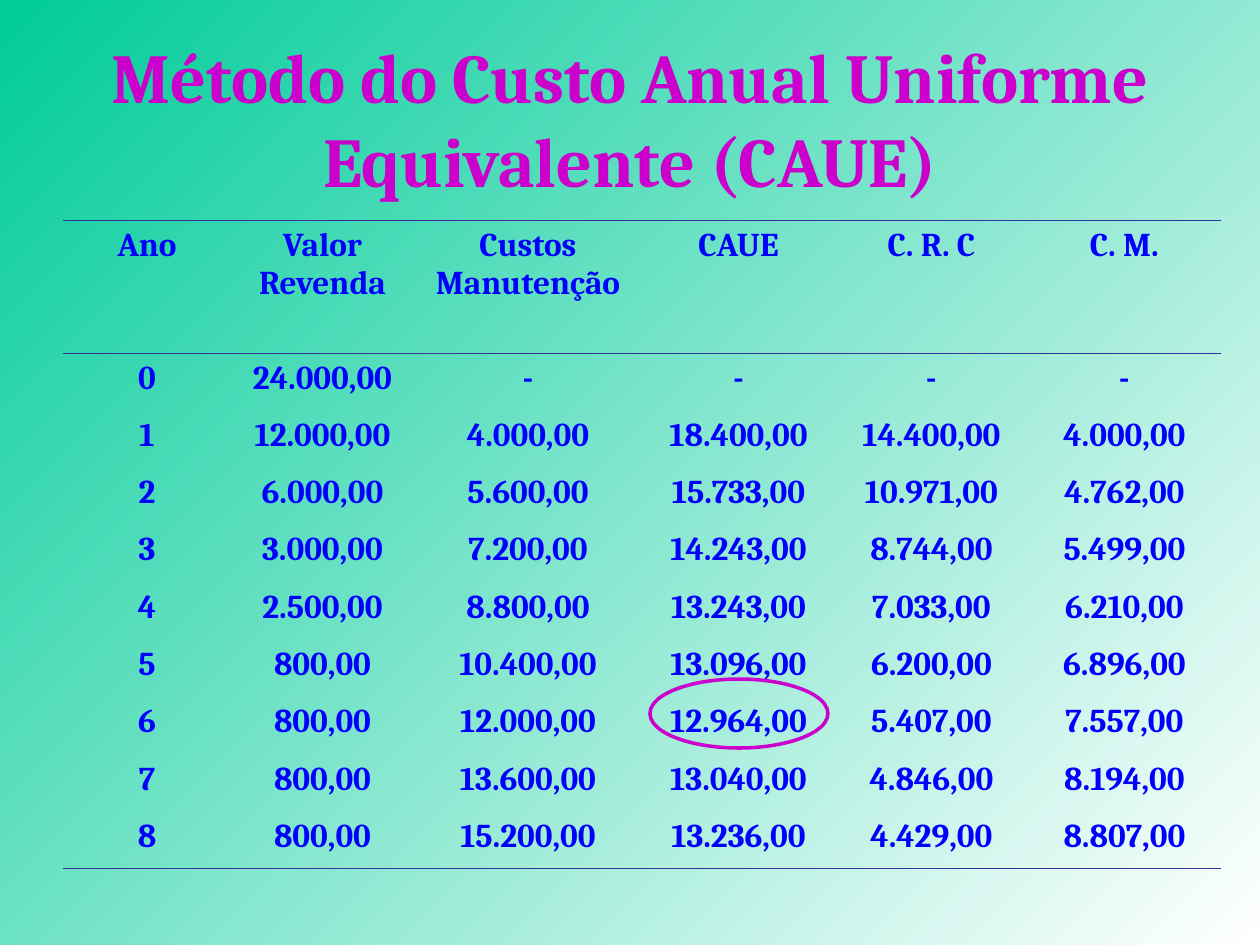
from dataclasses import dataclass

from lxml import etree
from pptx import Presentation
from pptx import util as u
from pptx.dml.color import RGBColor
from pptx.enum import shapes, text
from pptx.oxml.ns import qn

SCALE = u.Inches(1) / 126


def px(n):
    return u.Emu(round(n * SCALE))


def rgb(code):
    return RGBColor.from_string(code)


@dataclass
class Theme:
    font: str = "Cambria"
    green: str = "00CC99"
    white: str = "FFFFFF"
    pink: str = "CC00CC"
    blue: str = "0000FF"
    rule: str = "333399"
    title: int = 40
    body: int = 19
    ring: int = 2
    thin: float = 0.45


class Deck:
    def __init__(self, theme):
        self.theme = theme
        self.file = Presentation()
        self.file.slide_width, self.file.slide_height = px(1260), px(945)
        self.slide = self.file.slides.add_slide(self.file.slide_layouts[6])

    def back(self):
        fill = self.slide.background.fill
        fill.gradient()
        fill.gradient_angle = 315  # toward the lower right
        for stop, code in zip(fill.gradient_stops, (self.theme.green, self.theme.white)):
            stop.color.rgb = rgb(code)

    def label(self, frame, words, size, code):
        par = frame.paragraphs[0]
        par.text = words
        par.alignment = text.PP_ALIGN.CENTER
        font = par.font
        font.name, font.size, font.bold = self.theme.font, u.Pt(size), True
        font.color.rgb = rgb(code)

    def title(self, words, *box):
        frame = self.slide.shapes.add_textbox(*map(px, box)).text_frame
        frame.word_wrap = True
        frame.vertical_anchor = text.MSO_ANCHOR.MIDDLE
        self.label(frame, words, self.theme.title, self.theme.pink)

    def edge(self, cell, side, shown):
        line = etree.SubElement(cell._tc.get_or_add_tcPr(), qn(f"a:ln{side}"))
        if shown:
            line.set("w", str(u.Pt(self.theme.thin)))
            fill = etree.SubElement(line, qn("a:solidFill"))
            etree.SubElement(fill, qn("a:srgbClr"), val=self.theme.rule)
        else:
            etree.SubElement(line, qn("a:noFill"))

    def table(self, rows, left, top, widths, head, height):
        last = len(rows) - 1
        grid = self.slide.shapes.add_table(
            len(rows), len(widths), px(left), px(top), px(sum(widths)), px(height)).table
        grid.first_row = grid.horz_banding = False
        for col, width in zip(grid.columns, widths):
            col.width = px(width)
        for i, row in enumerate(rows):
            grid.rows[i].height = px((height - head) / last if i else head)
            # Rules run above and below the header and under the last row
            sides = {"L": False, "R": False, "T": i < 2, "B": i in (0, last)}
            for j, words in enumerate(row):
                cell = grid.cell(i, j)
                for side, shown in sides.items():
                    self.edge(cell, side, shown)
                cell.fill.background()
                self.label(cell.text_frame, words, self.theme.body, self.theme.blue)

    def ring(self, *box):
        oval = self.slide.shapes.add_shape(shapes.MSO_SHAPE.OVAL, *map(px, box))
        oval.shadow.inherit = False
        oval.fill.background()
        oval.line.color.rgb = rgb(self.theme.pink)
        oval.line.width = u.Pt(self.theme.ring)


ROWS = [
    ("Ano", "Valor Revenda", "Custos Manutenção", "CAUE", "C. R. C", "C. M."),
    ("0", "24.000,00", "-", "-", "-", "-"),
    ("1", "12.000,00", "4.000,00", "18.400,00", "14.400,00", "4.000,00"),
    ("2", "6.000,00", "5.600,00", "15.733,00", "10.971,00", "4.762,00"),
    ("3", "3.000,00", "7.200,00", "14.243,00", "8.744,00", "5.499,00"),
    ("4", "2.500,00", "8.800,00", "13.243,00", "7.033,00", "6.210,00"),
    ("5", "800,00", "10.400,00", "13.096,00", "6.200,00", "6.896,00"),
    ("6", "800,00", "12.000,00", "12.964,00", "5.407,00", "7.557,00"),
    ("7", "800,00", "13.600,00", "13.040,00", "4.846,00", "8.194,00"),
    ("8", "800,00", "15.200,00", "13.236,00", "4.429,00", "8.807,00"),
]


def main():
    deck = Deck(Theme())
    deck.back()
    # Title
    deck.title("Método do Custo Anual Uniforme Equivalente (CAUE)", 63, 38, 1134, 158)
    # Yearly costs
    deck.table(ROWS, 63, 220, (168, 183, 228, 193, 193, 193), head=133, height=649)
    # Lowest annual cost
    deck.ring(650, 679, 178, 69)
    deck.file.save("out.pptx")


if __name__ == "__main__":
    main()
